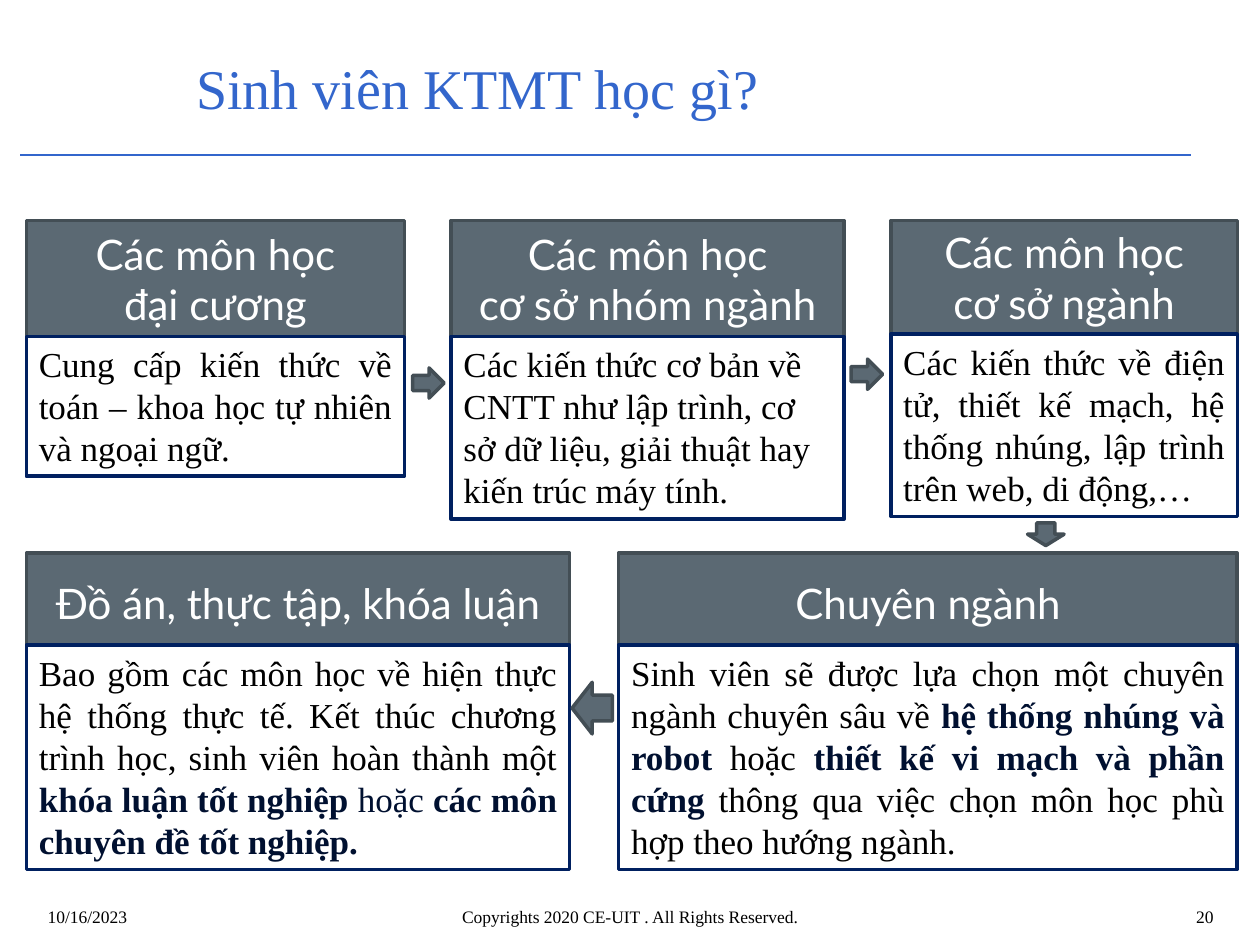
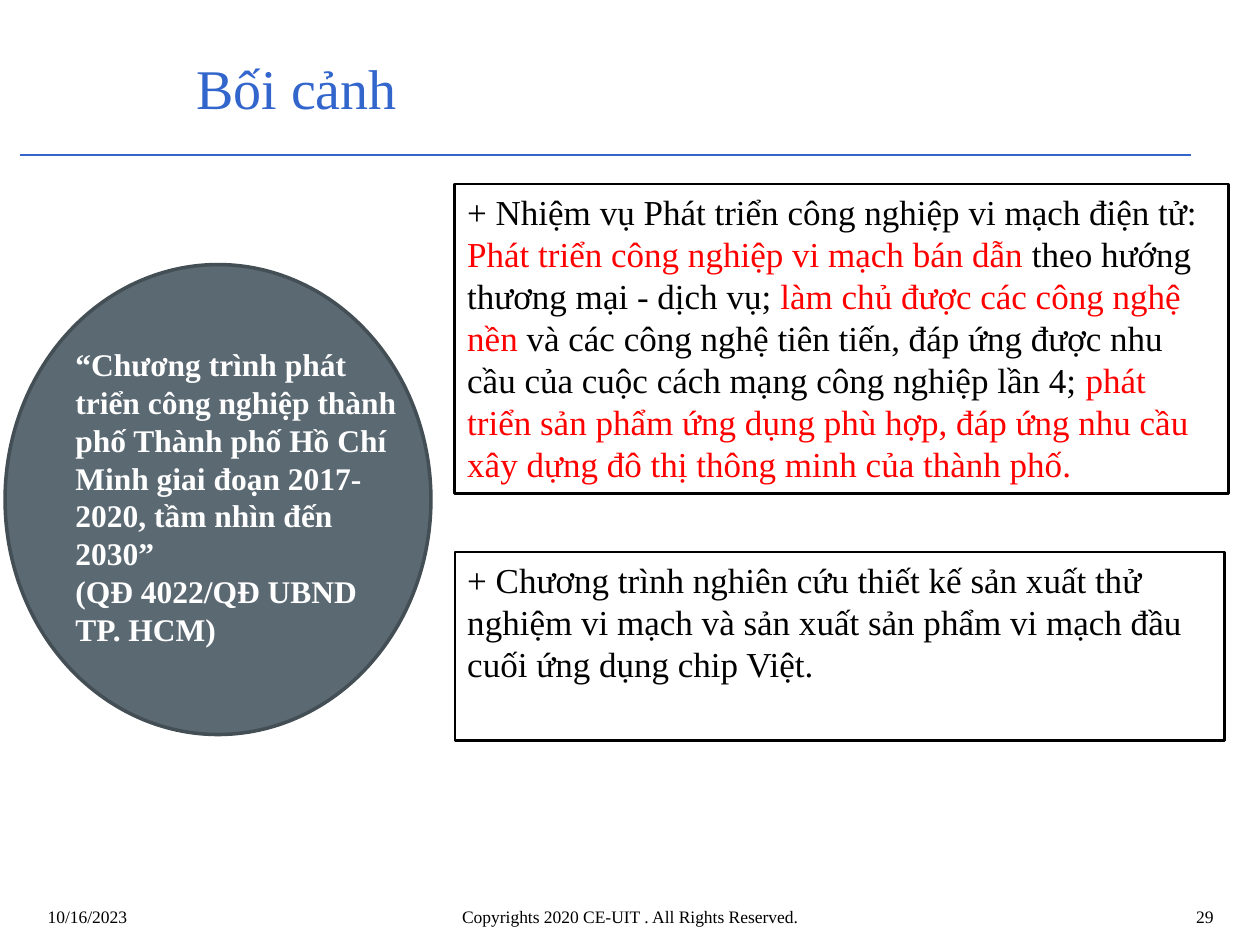
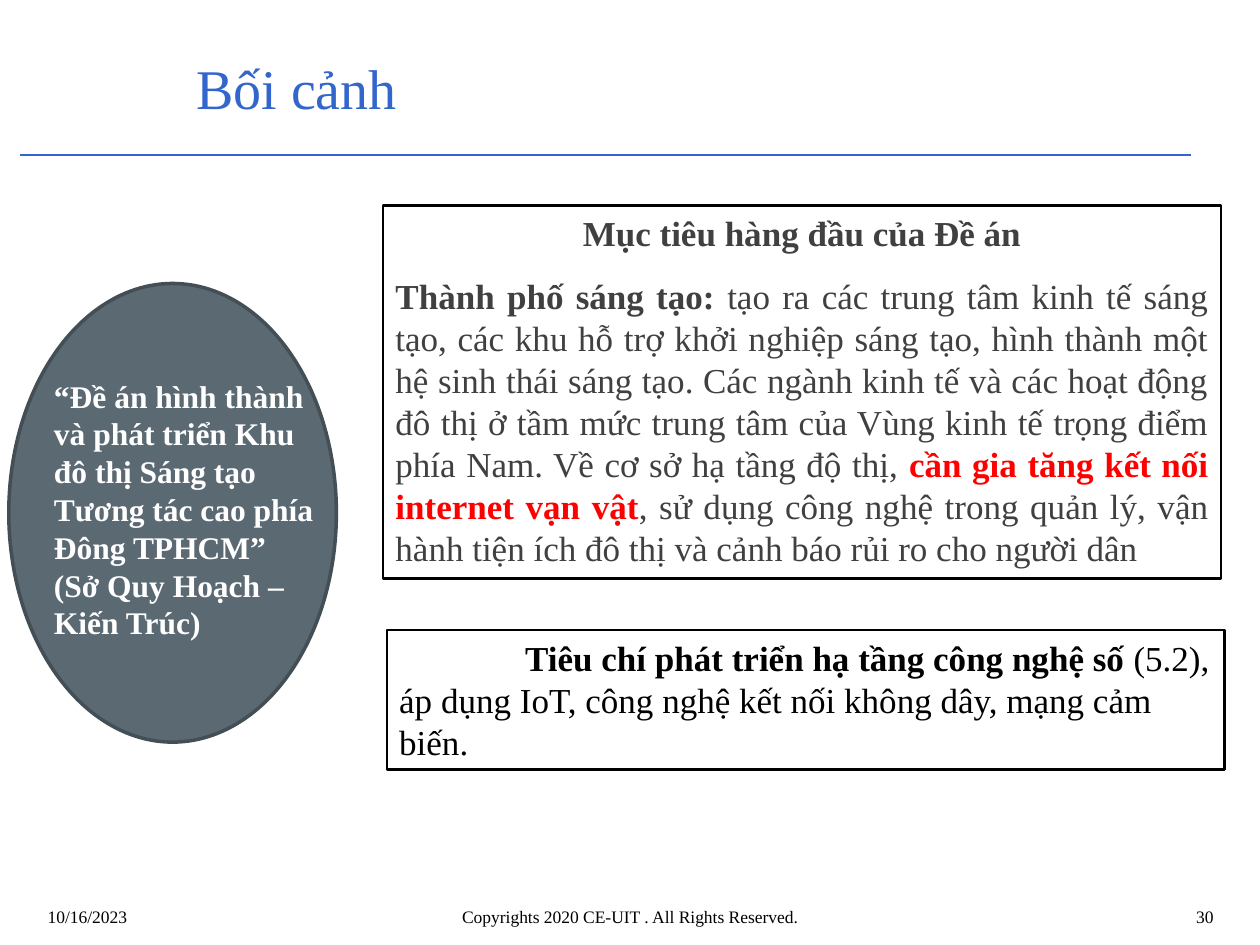
"""Build three slides on the computer engineering programme and its context."""
from lxml import etree
from pptx import Presentation
from pptx.dml.color import RGBColor
from pptx.enum.shapes import MSO_CONNECTOR, MSO_SHAPE
from pptx.enum.text import MSO_ANCHOR, PP_ALIGN
from pptx.oxml.ns import qn
from pptx.util import Inches, Pt

RECTANGLE, OVAL = MSO_SHAPE.RECTANGLE, MSO_SHAPE.OVAL
RIGHT, DOWN, LEFT = MSO_SHAPE.RIGHT_ARROW, MSO_SHAPE.DOWN_ARROW, MSO_SHAPE.LEFT_ARROW
STRAIGHT = MSO_CONNECTOR.STRAIGHT
TOP, MIDDLE = MSO_ANCHOR.TOP, MSO_ANCHOR.MIDDLE
START, CENTER, END, JUSTIFY = PP_ALIGN.LEFT, PP_ALIGN.CENTER, PP_ALIGN.RIGHT, PP_ALIGN.JUSTIFY

COLORS = {
    "blue": "3366CC", "slate": "5B6973", "slate edge": "434E55", "navy edge": "002060",
    "navy": "001030", "red": "FF0000", "gray": "403F41", "black": "000000", "white": "FFFFFF",
}
SERIF, SANS = "Times New Roman", "Lato"
WIDTH, HEIGHT = 10, 7.5
MARGIN = 0.21

DATE = "10/16/2023"
COPYRIGHT = "Copyrights 2020 CE-UIT . All Rights Reserved."
FOOTER_TOP, FOOTER_HEIGHT = 7.14, 0.32

TOP_CARDS = [
    {"head": ["Các môn học", "đại cương"], "width": 3, "head_height": 0.92, "body_height": 1.11,
     "align": JUSTIFY, "body": ["Cung cấp kiến thức về toán – khoa học tự nhiên và ngoại ngữ."]},
    {"head": ["Các môn học", "cơ sở nhóm ngành"], "width": 3.12, "head_height": 0.92,
     "body_height": 1.45, "align": START,
     "body": ["Các kiến thức cơ bản về CNTT như lập trình, cơ sở dữ liệu, "
              "giải thuật hay kiến trúc máy tính."]},
    {"head": ["Các môn học", "cơ sở ngành"], "width": 2.75, "head_height": 0.9,
     "body_height": 1.45, "align": JUSTIFY,
     "body": ["Các kiến thức về điện tử, thiết kế mạch, hệ thống nhúng, "
              "lập trình trên web, di động,…"]},
]
BOTTOM_CARDS = [
    {"head": ["Đồ án, thực tập, khóa luận"], "width": 4.31, "head_height": 0.73,
     "body_height": 1.78, "align": JUSTIFY, "spacing": 1.15,
     "body": [[
         "Bao gồm các môn học về hiện thực hệ thống thực tế. Kết thúc chương trình học, "
         "sinh viên hoàn thành một ",
         ("khóa luận tốt nghiệp ", "navy", True), ("hoặc ", "navy", False),
         ("các môn chuyên đề tốt nghiệp.", "navy", True)]]},
    {"head": ["Chuyên ngành"], "width": 4.91, "head_height": 0.73,
     "body_height": 1.78, "align": JUSTIFY, "spacing": 1.15,
     "body": [[
         "Sinh viên sẽ được lựa chọn một chuyên ngành chuyên sâu về ",
         ("hệ thống nhúng và robot ", "navy", True), "hoặc ",
         ("thiết kế vi mạch và phần cứng ", "navy", True),
         "thông qua việc chọn môn học phù hợp theo hướng ngành."]]},
]
CARD_ROWS = [
    {"cards": TOP_CARDS, "top": 1.75, "gap": 0.37},
    {"cards": BOTTOM_CARDS, "top": 4.39, "gap": 0.39},
]
ARROWS = [
    (RIGHT, 3.4, 3.04, 0.25, 0.24),
    (RIGHT, 6.88, 2.97, 0.25, 0.24),
    (DOWN, 8.3, 4.24, 0.29, 0.18),
    (LEFT, 4.7, 5.62, 0.32, 0.41),
]

CONTEXTS = [
    {"page": 29, "oval": (0.04, 2.1, 3.38, 3.73), "quote_at": (0.5, 2.69, 2.75, 2.83),
     "quote": ["“Chương trình phát triển công nghiệp thành phố Thành phố Hồ Chí Minh "
               "giai đoạn 2017-2020, tầm nhìn đến 2030”", "(QĐ 4022/QĐ UBND TP. HCM)"],
     "panels": [
         {"at": (3.61, 1.46, 6.14, 2.46), "paragraphs": [[
             "+ Nhiệm vụ Phát triển công nghiệp vi mạch điện tử: ",
             ("Phát triển công nghiệp vi mạch bán dẫn", "red", False),
             " theo hướng thương mại - dịch vụ; ",
             ("làm chủ được các công nghệ nền ", "red", False),
             "và các công nghệ tiên tiến, đáp ứng được nhu cầu của cuộc cách mạng "
             "công nghiệp lần 4; ",
             ("phát triển sản phẩm ứng dụng phù hợp, đáp ứng nhu cầu xây dựng đô thị "
              "thông minh của thành phố.", "red", False)]]},
         {"at": (3.61, 4.38, 6.11, 1.5), "paragraphs": [
             "+ Chương trình nghiên cứu thiết kế sản xuất thử nghiệm vi mạch và sản xuất "
             "sản phẩm vi mạch đầu cuối ứng dụng chip Việt."]},
     ]},
    {"page": 30, "oval": (0.07, 2.25, 2.6, 3.64), "quote_at": (0.33, 2.94, 2.31, 2.52),
     "quote": ["“Đề án hình thành và phát triển Khu đô thị Sáng tạo Tương tác cao "
               "phía Đông TPHCM”", "(Sở Quy Hoạch – Kiến Trúc)"],
     "panels": [
         {"at": (3.04, 1.63, 6.65, 2.96), "color": "gray", "aligns": [CENTER, JUSTIFY],
          "paragraphs": [
              [("Mục tiêu hàng đầu của Đề án", "gray", True)],
              [("Thành phố sáng tạo: ", "gray", True),
               "tạo ra các trung tâm kinh tế sáng tạo, các khu hỗ trợ khởi nghiệp sáng tạo, "
               "hình thành một hệ sinh thái sáng tạo. Các ngành kinh tế và các hoạt động "
               "đô thị ở tầm mức trung tâm của Vùng kinh tế trọng điểm phía Nam. "
               "Về cơ sở hạ tầng độ thị, ",
               ("cần gia tăng kết nối internet vạn vật", "red", True),
               ", sử dụng công nghệ trong quản lý, vận hành tiện ích đô thị và cảnh báo "
               "rủi ro cho người dân"]]},
         {"at": (3.07, 5, 6.65, 1.11), "indent": 1, "paragraphs": [[
             ("Tiêu chí phát triển hạ tầng công nghệ số ", "black", True),
             "(5.2), áp dụng IoT, công nghệ kết nối không dây, mạng cảm biến."]]},
     ]},
]


def rgb(name):
    return RGBColor.from_string(COLORS[name])


def write(shape, paragraphs, size, color="black", font=SERIF, bold=False, aligns=(START,),
          anchor=TOP, spacing=None, gap=0, indent=0, inset=0.1):
    frame = shape.text_frame
    frame.word_wrap = True
    frame.vertical_anchor = anchor
    frame.margin_left = frame.margin_right = Inches(inset)
    frame.margin_top = frame.margin_bottom = Inches(min(inset, 0.05))
    for index, spans in enumerate(paragraphs):
        para = frame.add_paragraph() if index else frame.paragraphs[0]
        para.alignment = aligns[min(index, len(aligns) - 1)]
        if spacing:
            para.line_spacing = spacing
        if index and gap:
            para.space_before = Pt(gap)
        if indent:
            para._p.get_or_add_pPr().set("indent", str(Inches(indent)))
        para.font.name, para.font.size, para.font.bold = font, Pt(size), bold
        para.font.color.rgb = rgb(color)
        for span in [spans] if isinstance(spans, str) else spans:
            run = para.add_run()
            if isinstance(span, str):
                run.text = span
            else:
                run.text, tint, run.font.bold = span
                run.font.color.rgb = rgb(tint)


def add_text(page, at, paragraphs, size, **style):
    write(page.shapes.add_textbox(*map(Inches, at)), paragraphs, size, **style)


def add_block(page, kind, at, fill="slate", edge="slate edge", weight=2):
    block = page.shapes.add_shape(kind, *map(Inches, at))
    block.shadow.inherit = False
    if fill:
        block.fill.solid()
        block.fill.fore_color.rgb = rgb(fill)
    else:
        block.fill.background()
    block.line.color.rgb = rgb(edge)
    block.line.width = Pt(weight)
    return block


def add_page(deck, title, number):
    page = deck.slides.add_slide(deck.slide_layouts[6])
    rule = page.shapes.add_connector(STRAIGHT, *map(Inches, (0.16, 1.23, 9.45, 1.23)))
    rule.line.color.rgb = rgb("blue")
    rule.line.width = Pt(0.75)
    etree.SubElement(rule._element.spPr, qn("a:effectLst"))
    add_text(page, (1.46, 0.31, 8.04, 0.76), [title], 32, color="blue", anchor=MIDDLE)
    footers = [(0.28, 2.33, DATE, START), (7.81, 1.92, str(number), END),
               (1.93, 6.14, COPYRIGHT, CENTER)]
    for left, width, words, align in footers:
        add_text(page, (left, FOOTER_TOP, width, FOOTER_HEIGHT), [words], 10, aligns=[align])
    return page


def add_card(page, card, left, top):
    head_at = (left, top, card["width"], card["head_height"])
    body_at = (left, top + card["head_height"], card["width"], card["body_height"])
    write(add_block(page, RECTANGLE, head_at), card["head"], 24, color="white", font=SANS,
          aligns=[CENTER], anchor=MIDDLE, spacing=card.get("spacing"), inset=0.04)
    write(add_block(page, RECTANGLE, body_at, "white", "navy edge"), card["body"], 20,
          aligns=[card["align"]])


def add_curriculum(deck):
    page = add_page(deck, "Sinh viên KTMT học gì?", 20)
    for row in CARD_ROWS:
        left = MARGIN
        for card in row["cards"]:
            add_card(page, card, left, row["top"])
            left += card["width"] + row["gap"]
    for kind, x, y, width, height in ARROWS:
        add_block(page, kind, (x - width / 2, y - height / 2, width, height))


def add_context(deck, context):
    page = add_page(deck, "Bối cảnh", context["page"])
    add_block(page, OVAL, context["oval"])
    add_text(page, context["quote_at"], context["quote"], 18, color="white", bold=True)
    for panel in context["panels"]:
        box = add_block(page, RECTANGLE, panel["at"], None, "black", 1.5)
        write(box, panel["paragraphs"], 20, color=panel.get("color", "black"), gap=12,
              aligns=panel.get("aligns", [START]), indent=panel.get("indent", 0))


def main():
    deck = Presentation()
    deck.slide_width, deck.slide_height = Inches(WIDTH), Inches(HEIGHT)
    add_curriculum(deck)
    for context in CONTEXTS:
        add_context(deck, context)
    deck.save("out.pptx")


if __name__ == "__main__":
    main()
